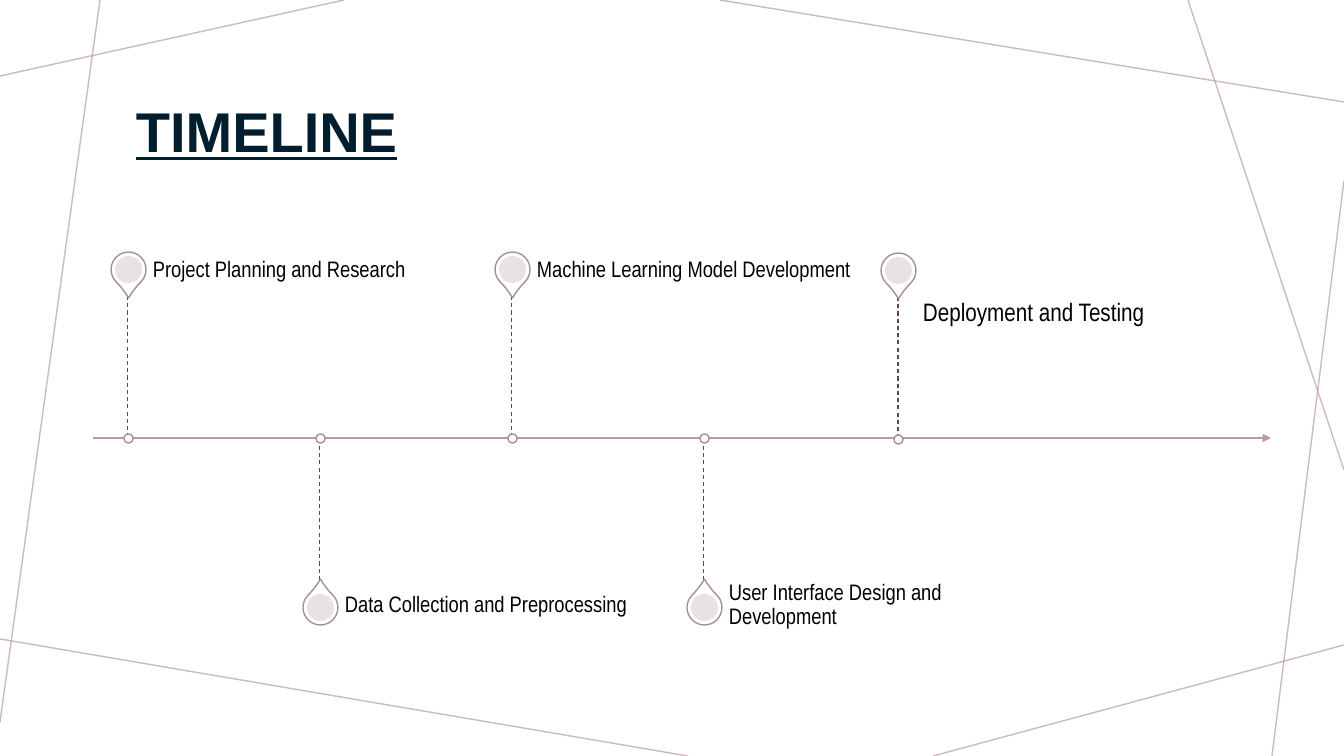
from lxml import etree
from pptx import Presentation
from pptx.dml.color import RGBColor
from pptx.enum.dml import MSO_LINE
from pptx.enum.shapes import MSO_CONNECTOR, MSO_SHAPE
from pptx.enum.text import MSO_ANCHOR
from pptx.oxml.ns import qn
from pptx.util import Emu, Pt

PX = 914400 / 100.8
STRAIGHT = MSO_CONNECTOR.STRAIGHT
TEARDROP, OVAL = MSO_SHAPE.TEAR, MSO_SHAPE.OVAL
DASH = MSO_LINE.DASH
TOP, MIDDLE = MSO_ANCHOR.TOP, MSO_ANCHOR.MIDDLE

WHITE = RGBColor(0xFF, 0xFF, 0xFF)
BLACK = RGBColor(0x00, 0x00, 0x00)
NAVY = RGBColor(0x00, 0x1E, 0x2E)
ROSE = RGBColor(0xBA, 0x9C, 0xA0)
OUTLINE = RGBColor(0xA9, 0x8E, 0x91)
PALE = RGBColor(0xE7, 0xDE, 0xDF)
PLUM = RGBColor(0x65, 0x46, 0x4A)

AXIS_Y = 438
PIN_SIZE, DOT_SIZE, NODE_SIZE = 35, 27, 9
LABEL_GAP, LABEL_WIDTH = 25, 324


def add_line(start, end, color, width):
    line = page.shapes.add_connector(
        STRAIGHT, *[Emu(round(value * PX)) for value in (*start, *end)])
    line.line.color.rgb = color
    line.line.width = Pt(width)
    etree.SubElement(line._element.spPr, qn("a:effectLst"))
    return line


def add_text(bounds, text, anchor, insets, font):
    """Insets are the left/right and top/bottom margins in px."""
    box = page.shapes.add_textbox(*[Emu(round(value * PX)) for value in bounds])
    side, end = [Emu(round(value * PX)) for value in insets]
    frame = box.text_frame
    layout = {"word_wrap": True, "vertical_anchor": anchor,
              "margin_left": side, "margin_right": side,
              "margin_top": end, "margin_bottom": end}
    for name, value in layout.items():
        setattr(frame, name, value)
    para = frame.paragraphs[0]
    para.line_spacing = 0.9
    span = para.add_run()
    span.text = text
    for name, value in font.items():
        if name == "color":
            span.font.color.rgb = value
        else:
            setattr(span.font, name, value)


deck = Presentation()
deck.slide_width = Emu(round(1344 * PX))
deck.slide_height = Emu(round(756 * PX))
page = deck.slides.add_slide(deck.slide_layouts[6])
page.background.fill.solid()
page.background.fill.fore_color.rgb = WHITE

# Crossing lines around the edge of the slide
border_lines = [
    ((344, 0), (0, 76)),
    ((100, 0), (0, 722)),
    ((688, 756), (0, 639)),
    ((1344, 645), (933, 756)),
    ((1344, 181), (1272, 756)),
    ((1344, 470), (1188, 0)),
    ((1344, 102), (720, 0)),
]
for start, end in border_lines:
    border = add_line(start, end, ROSE, 1)
    tint = border.line.color._xFill.find(qn("a:srgbClr"))
    etree.SubElement(tint, qn("a:alpha"), val="70000")

axis = add_line((93, AXIS_Y), (1271, AXIS_Y), ROSE, 1)
etree.SubElement(axis.line._get_or_add_ln(), qn("a:tailEnd"), type="triangle")

# Milestones: label, centre x, above the axis, downward shift
milestones = [
    ("Project Planning and Research", 128, True, 0),
    ("Data Collection and Preprocessing", 320, False, 0),
    ("Machine Learning Model Development", 512, True, 0),
    ("User Interface Design and Development", 704, False, 0),
    ("Deployment and Testing", 898, True, 1),
]
for label, x, above, shift in milestones:
    node_y = AXIS_Y + shift
    pin_y = node_y + (-169 if above else 169)
    stem_y = node_y + (-142 if above else 142)
    add_line((x, stem_y), (x, node_y), PLUM, 0.75).line.dash_style = DASH

    marks = [
        (TEARDROP, PIN_SIZE, pin_y, WHITE, OUTLINE),
        (OVAL, DOT_SIZE, pin_y, PALE, None),
        (OVAL, NODE_SIZE, node_y, WHITE, OUTLINE),
    ]
    for kind, size, y, fill, outline in marks:
        bounds = (x - size // 2, y - size // 2, size, size)
        mark = page.shapes.add_shape(
            kind, *[Emu(round(value * PX)) for value in bounds])
        mark.shadow.inherit = False
        mark.fill.solid()
        mark.fill.fore_color.rgb = fill
        if outline is None:
            mark.line.fill.background()
            tint = mark.fill._xPr.find(qn("a:solidFill")).find(qn("a:srgbClr"))
            etree.SubElement(tint, qn("a:alpha"), val="90000")
        else:
            mark.line.color.rgb = outline
            mark.line.width = Pt(1)
        if kind == TEARDROP:
            mark.adjustments[0] = 1.15
            mark.rotation = 135 if above else 315

    font = {"name": "Arial Narrow", "size": Pt(16), "color": BLACK}
    if shift:
        font["size"] = Pt(18)
        add_text((x + LABEL_GAP, stem_y, LABEL_WIDTH, 142), label, TOP, (0, 3), font)
    else:
        label_y = 246 if above else 581
        add_text((x + LABEL_GAP, label_y, LABEL_WIDTH, 49), label, MIDDLE, (0, 0), font)

add_text((126, 58, 1092, 152), "TIMELINE", MIDDLE, (10, 5),
         {"name": "Arial", "size": Pt(40), "bold": True, "underline": True, "color": NAVY})

deck.save("out.pptx")
